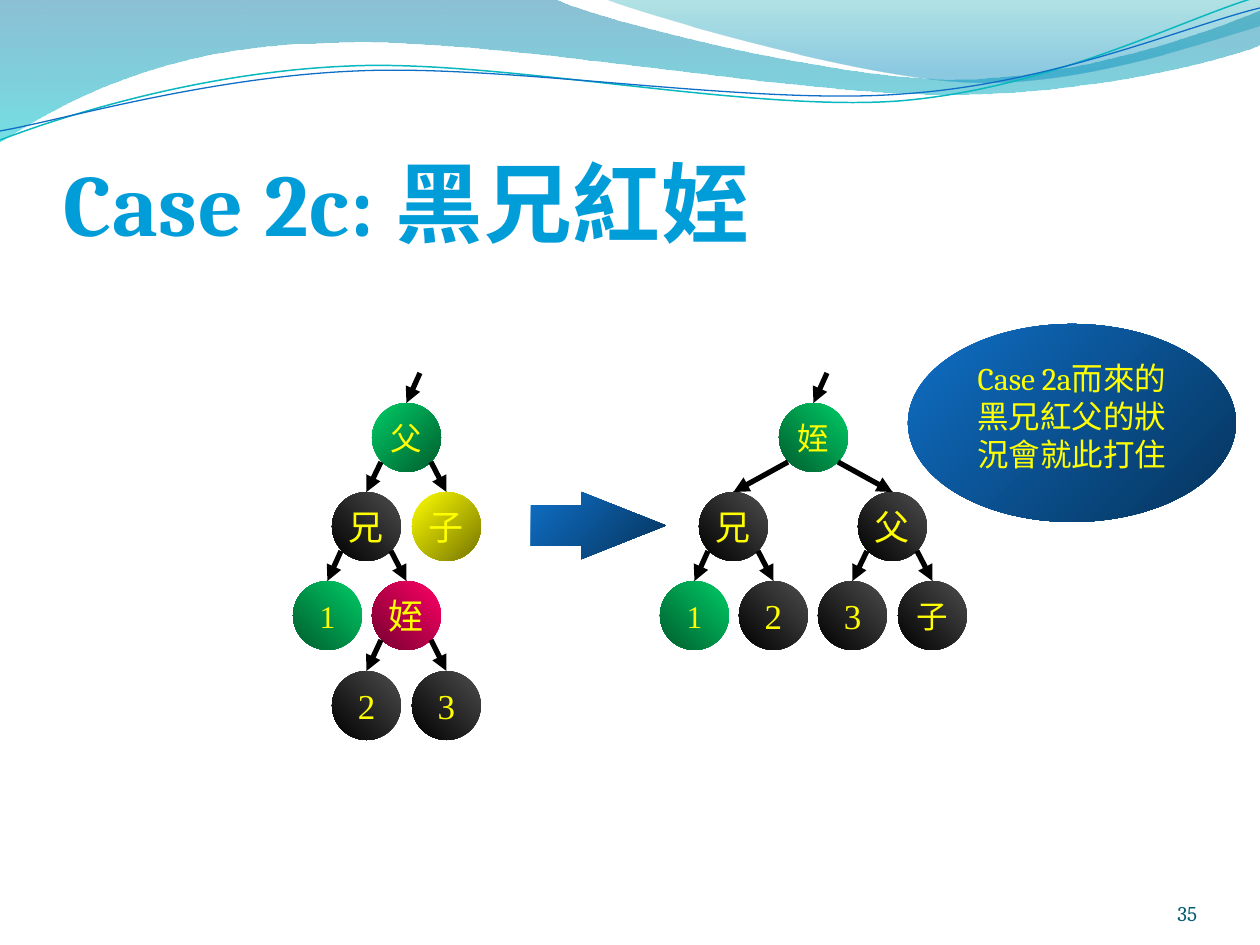
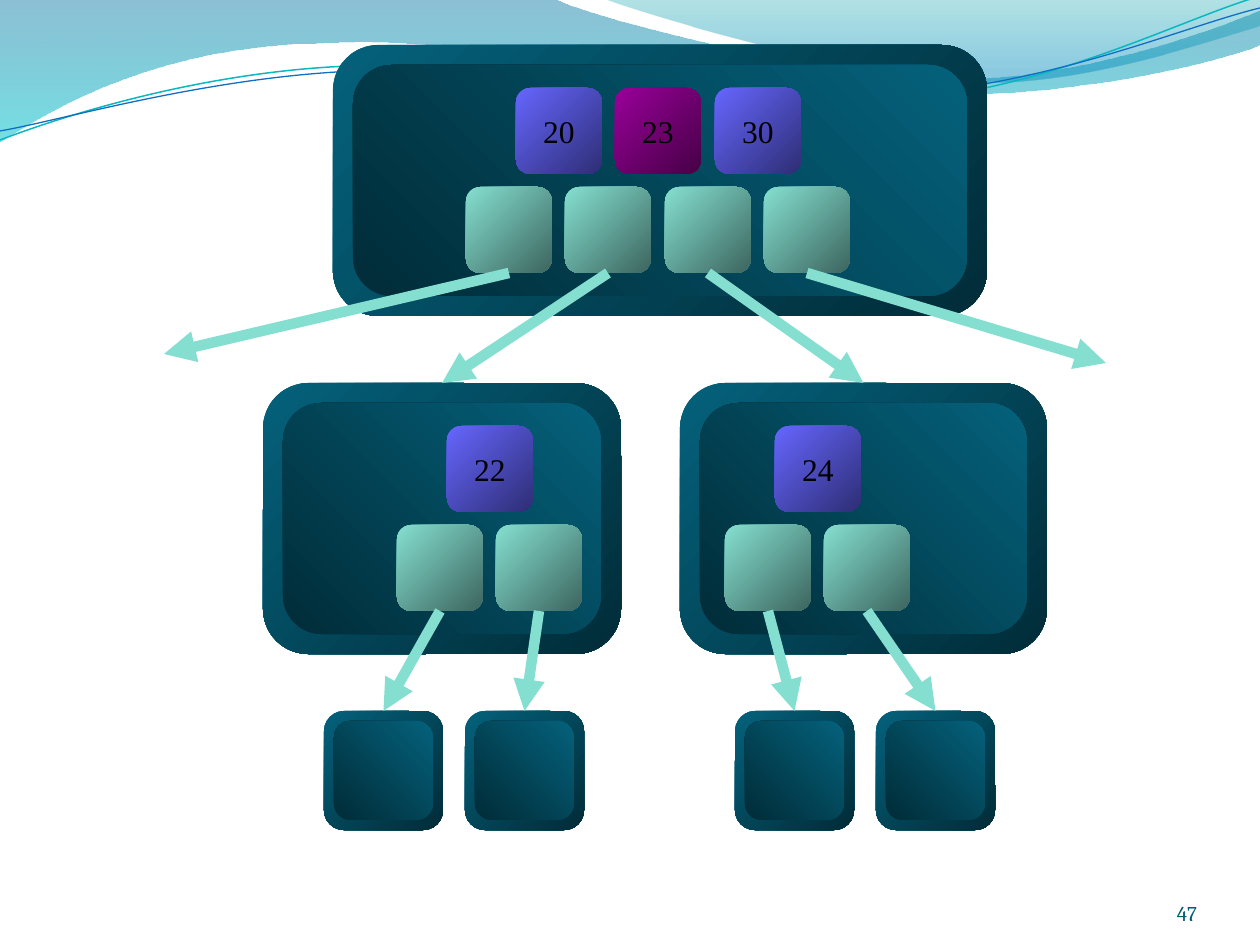
from lxml.etree import SubElement as Sub
from pptx import Presentation
from pptx.dml.color import RGBColor as Rgb
from pptx.enum.shapes import MSO_CONNECTOR as Link, MSO_SHAPE as Kind
from pptx.enum.text import MSO_ANCHOR as Anchor, PP_ALIGN as Align
from pptx.oxml.ns import qn
from pptx.util import Pt

SCALE = 914400 / 126  # EMU in one px
WIDE, HIGH = 1260, 945


class Theme:
    serif, roman = "Cambria", "Times New Roman"
    title, big, mid, small = 50, 20, 18, 12
    edge, bold_edge = 3, 6
    dim = [("gamma", None), ("shade", 46), ("invGamma", None)]  # dark end of a fill
    black, yellow, page = "000000", "FFFF00", "045D75"
    head = [(25, "009DD9"), (100, "006F99")]
    green, red, grey, gold = "00CC66", "FF0066", "4D4D4D", "FFFF00"
    blue, plate = "0F6FC6", "04617B"
    key, fresh, mint = "6666FF", "990099", "85DFD0"


# ---- Content: shared waves (2 numbers: line, 6 numbers: curve) ----
BANDS = [
    ([(0, 0), (554, -1), (600, 21, 837, 79, 955, 79), (1075, 79, 1207, 33, 1260, 11),
      (1261, 45), (1239, 55, 1096, 96, 940, 94), (783, 94, 481, 35, 324, 43),
      (163, 45, 58, 105, -1, 142)],
     [(0, "0074A1", ("alpha", 45)), (100, "00C6CF", ("alpha", 55))]),
    ([(604, -1), (641, 14, 859, 78, 969, 82), (1079, 87, 1211, 40, 1260, 26), (1260, 0)],
     [(0, "00A1A9", ("alpha", 30)), (80, "008BBF", ("alpha", 45))]),
]
CURVES = [
    ([(0, 140), (60, 117, 199, 72, 349, 66), (498, 59, 747, 112, 898, 101),
      (1050, 89, 1182, 19, 1257, -3)], "0AB8BF", 0.85),
    ([(0, 131), (59, 121, 207, 77, 357, 71), (508, 64, 752, 106, 903, 94),
      (1053, 84, 1186, 26, 1260, 8)], "0F6FC6", 0.75),
]

# ---- Content: colour trees (label, column, row, fill, size, flipped, parent) ----
TITLE = "Case 2c: 黑兄紅姪"
NOTE = "Case 2a而來的黑兄紅父的狀況會就此打住"
BEFORE = [
    ("父", 2, 0, Theme.green, Theme.mid, False, None),
    ("兄", 1, 1, Theme.grey, Theme.big, True, 0),
    ("子", 3, 1, Theme.gold, Theme.big, False, 0),
    ("1", 0, 2, Theme.green, Theme.mid, True, 1),
    ("姪", 2, 2, Theme.red, Theme.big, True, 1),
    ("2", 1, 3, Theme.grey, Theme.big, True, 4),
    ("3", 3, 3, Theme.grey, Theme.big, True, 4),
]
AFTER = [
    ("姪", 3, 0, Theme.green, Theme.mid, True, None),
    ("兄", 1, 1, Theme.grey, Theme.big, True, 0),
    ("父", 5, 1, Theme.grey, Theme.big, True, 0),
    ("1", 0, 2, Theme.green, Theme.mid, True, 1),
    ("2", 2, 2, Theme.grey, Theme.big, True, 1),
    ("3", 4, 2, Theme.grey, Theme.big, True, 2),
    ("子", 6, 2, Theme.grey, Theme.mid, True, 2),
]
TREES = [(293, BEFORE), (660, AFTER)]
TOP, BALL = 403, 69

# ---- Content: search tree (box, left of the pointers, keys) ----
ROOT = ((333, 45, 654, 271), 466, [("20", Theme.key), ("23", Theme.fresh), ("30", Theme.key)])
KIDS = [
    ((263, 383, 358, 271), 397, [("22", Theme.key)], (324, 465)),
    ((680, 383, 367, 271), 725, [("24", Theme.key)], (735, 876)),
]
ENDS = [(164, 354), (1106, 363)]  # arrows to nodes out of view
CELL, LEAF, LEAF_TOP = 86, 119, 711


# ---- Helpers ----
def px(val):
    return round(val * SCALE)


def paint(shape, stops, ang):
    """Fill with two stops: (position, colour, *(modifier, percent))."""
    shape.fill.gradient()
    shape.fill.gradient_angle = 360 - ang
    for stop, (pos, tone, *mods) in zip(shape.fill.gradient_stops, stops):
        stop.position, stop.color.rgb = pos / 100, Rgb.from_string(tone)
    tones = shape.element.spPr.iter(qn("a:srgbClr"))
    for node, (pos, tone, *mods) in zip(tones, stops):
        for name, val in mods:
            mod = Sub(node, qn("a:" + name))
            if val:
                mod.set("val", str(val * 1000))


def fade(tone):
    """Stops from a tone to its dark shade; grey runs to black."""
    if tone == Theme.grey:
        return [(0, tone), (100, Theme.black)]
    return [(0, tone), (100, tone, *Theme.dim)]


def block(slide, kind, box, stops, ang=45, adj=()):
    shape = slide.shapes.add_shape(kind, *map(px, box))
    shape.shadow.inherit = False
    shape.line.fill.background()
    paint(shape, stops, ang)
    for num, val in enumerate(adj):
        shape.adjustments[num] = val
    return shape


def write(shape, text, size, face, tone, align=Align.CENTER, anchor=Anchor.MIDDLE, wrap=False):
    frame = shape.text_frame
    frame.word_wrap, frame.vertical_anchor = wrap, anchor
    para = frame.paragraphs[0]
    para.alignment = align
    run = para.add_run()
    run.text = text
    run.font.size, run.font.name = Pt(size), face
    if tone:
        run.font.color.rgb = Rgb.from_string(tone)
    return run


def inset(frame, top=0):
    frame.margin_left = frame.margin_right = frame.margin_bottom = 0
    frame.margin_top = px(top)


def arrow(slide, start, end, tone, width):
    """Join points or shapes: bottom of the start, top of the end."""
    spots = [spot if isinstance(spot, tuple) else (0, 0) for spot in (start, end)]
    line = slide.shapes.add_connector(Link.STRAIGHT, *[px(v) for spot in spots for v in spot])
    if not isinstance(start, tuple):
        line.begin_connect(start, 2)
    if not isinstance(end, tuple):
        line.end_connect(end, 0)
    line.line.color.rgb, line.line.width = Rgb.from_string(tone), Pt(width)
    Sub(line.element.spPr.find(qn("a:ln")), qn("a:tailEnd")).set("type", "triangle")
    Sub(line.element.spPr, qn("a:effectLst"))


def outline(slide, steps, close):
    """Build straight steps, then join each three points of a curve."""
    first, *rest = [(px(x), px(y)) for step in steps for x, y in zip(step[::2], step[1::2])]
    form = slide.shapes.build_freeform(*first, scale=1.0)
    form.add_line_segments(rest, close=close)
    shape = form.convert_to_shape()
    shape.shadow.inherit = False
    lines = iter(list(shape.element.iter(qn("a:lnTo"))))
    for step in steps[1:]:
        line = next(lines)
        if len(step) == 6:
            line.tag = qn("a:cubicBezTo")
            for _ in range(2):
                extra = next(lines)
                line.append(extra[0])
                extra.getparent().remove(extra)
    return shape


# ---- Shared parts ----
def waves(slide, master):
    """Draw the waves and move them to the back of the master."""
    parts = []
    for steps, stops in BANDS:
        band = outline(slide, steps, True)
        band.line.fill.background()
        paint(band, stops, 90)
        parts.append(band)
    for steps, tone, width in CURVES:
        curve = outline(slide, steps, False)
        curve.fill.background()
        curve.line.color.rgb, curve.line.width = Rgb.from_string(tone), Pt(width)
        parts.append(curve)
    for num, part in enumerate(parts):
        part.element.nvSpPr.cNvPr.set("id", str(90 + num))
        master.shapes.element.insert(2 + num, part.element)


def number(slide, text):
    box = slide.shapes.add_textbox(*map(px, (1092, 876, 105, 50)))
    inset(box.text_frame)
    write(box, text, Theme.small, Theme.serif, Theme.page, Align.RIGHT, Anchor.BOTTOM, True)


def heading(slide, text):
    title = slide.shapes.title
    title.left, title.top, title.width, title.height = map(px, (63, 97, 1134, 157))
    inset(title.text_frame, 6)
    run = write(title, text, Theme.title, Theme.serif, None, Align.LEFT, Anchor.BOTTOM, True)
    run.font.bold = True
    run.font.fill.gradient()
    run.font.fill.gradient_angle = 270
    for stop, (pos, tone) in zip(run.font.fill.gradient_stops, Theme.head):
        stop.position, stop.color.rgb = pos / 100, Rgb.from_string(tone)
    next(title.element.iter(qn("a:rPr"))).set("spc", "50")


# ---- Slide with the colour trees ----
def tree(slide, left, nodes):
    balls, spots = [], []
    for label, col, row, tone, size, flip, above in nodes:
        x, y = left + col * 119 // 3, TOP + row * 268 // 3
        ball = block(slide, Kind.OVAL, (x, y, BALL, BALL), fade(tone))
        if flip:
            ball.element.spPr.find(qn("a:xfrm")).set("flipH", "1")
        face = Theme.serif if label == "子" and tone == Theme.grey else Theme.roman
        write(ball, label, size, face, Theme.yellow)
        mid = x + BALL // 2
        if above is None:
            start = (mid + 14, y - 30)
        else:
            over, high = spots[above]
            start = (over + (25 if mid > over else -25), high + 59)
        arrow(slide, start, ball, Theme.black, Theme.edge)
        balls.append(ball)
        spots.append((mid, y))


def rotation(slide):
    heading(slide, TITLE)
    for left, nodes in TREES:
        tree(slide, left, nodes)
    block(slide, Kind.RIGHT_ARROW, (531, 492, 135, 67), fade(Theme.blue), adj=(0.61, 1.26))
    note = block(slide, Kind.OVAL, (908, 324, 328, 198), fade(Theme.blue))
    write(note, NOTE, Theme.mid, Theme.serif, Theme.yellow, anchor=Anchor.TOP, wrap=True)


# ---- Slide with the search tree ----
def tile(slide, box, tone):
    return block(slide, Kind.ROUNDED_RECTANGLE, box, fade(tone))


def plate(slide, box, rim):
    x, y, w, h = box
    outer = tile(slide, box, Theme.plate)
    inner = (x + rim, y + rim, w - 2 * rim, h - 2 * rim)
    stops = [(0, Theme.plate, *Theme.dim), (100, Theme.plate)]
    block(slide, Kind.ROUNDED_RECTANGLE, inner, stops, 315)
    return outer


def page(slide, box, left, keys):
    """Draw a node; return its plate and its pointer cells."""
    outer, top = plate(slide, box, 20), box[1] + 43
    for num, (label, tone) in enumerate(keys):
        cell = tile(slide, (left + 50 + num * 199 // 2, top, CELL, CELL), tone)
        write(cell, label, Theme.mid, Theme.roman, Theme.black)
    cells = [tile(slide, (left + num * 199 // 2, top + 99, CELL, CELL), Theme.mint)
             for num in range(len(keys) + 1)]
    return outer, cells


def search(slide):
    pairs, heads = [], []
    for box, left, keys, leaves in KIDS:
        outer, slots = page(slide, box, left, keys)
        heads.append(outer)
        for slot, x in zip(slots, leaves):
            pairs.append((slot, plate(slide, (x, LEAF_TOP, LEAF, LEAF), 10)))
    cells = page(slide, *ROOT)[1]
    pairs += zip(cells, [ENDS[0], *heads, ENDS[1]])
    for start, end in pairs:
        arrow(slide, start, end, Theme.mint, Theme.bold_edge)


def main():
    prs = Presentation()
    prs.slide_width, prs.slide_height = px(WIDE), px(HIGH)
    for num, (layout, label, draw) in enumerate([(5, "35", rotation), (6, "47", search)]):
        slide = prs.slides.add_slide(prs.slide_layouts[layout])
        if num == 0:
            waves(slide, prs.slide_master)
        number(slide, label)
        draw(slide)
    prs.save("out.pptx")


if __name__ == "__main__":
    main()
